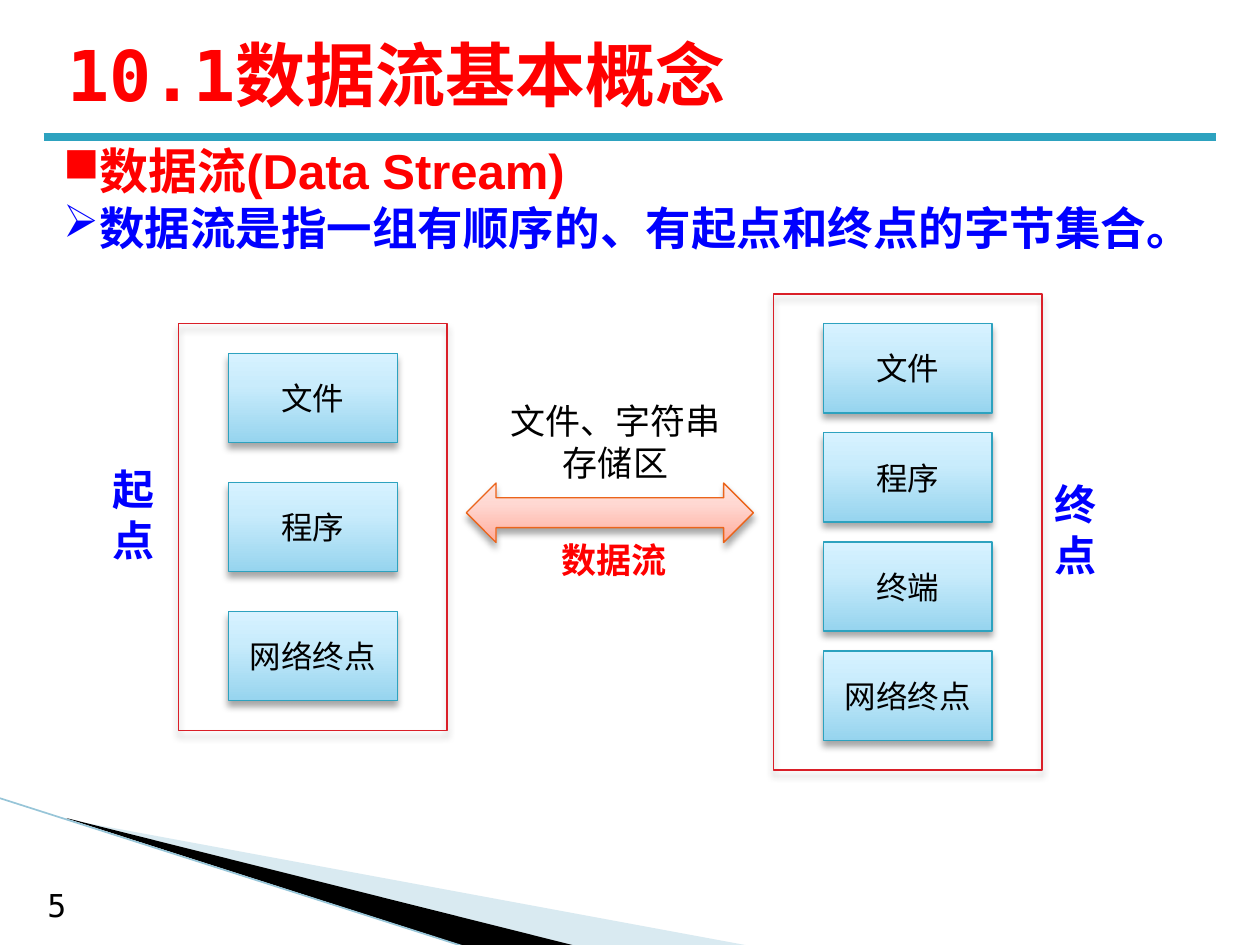
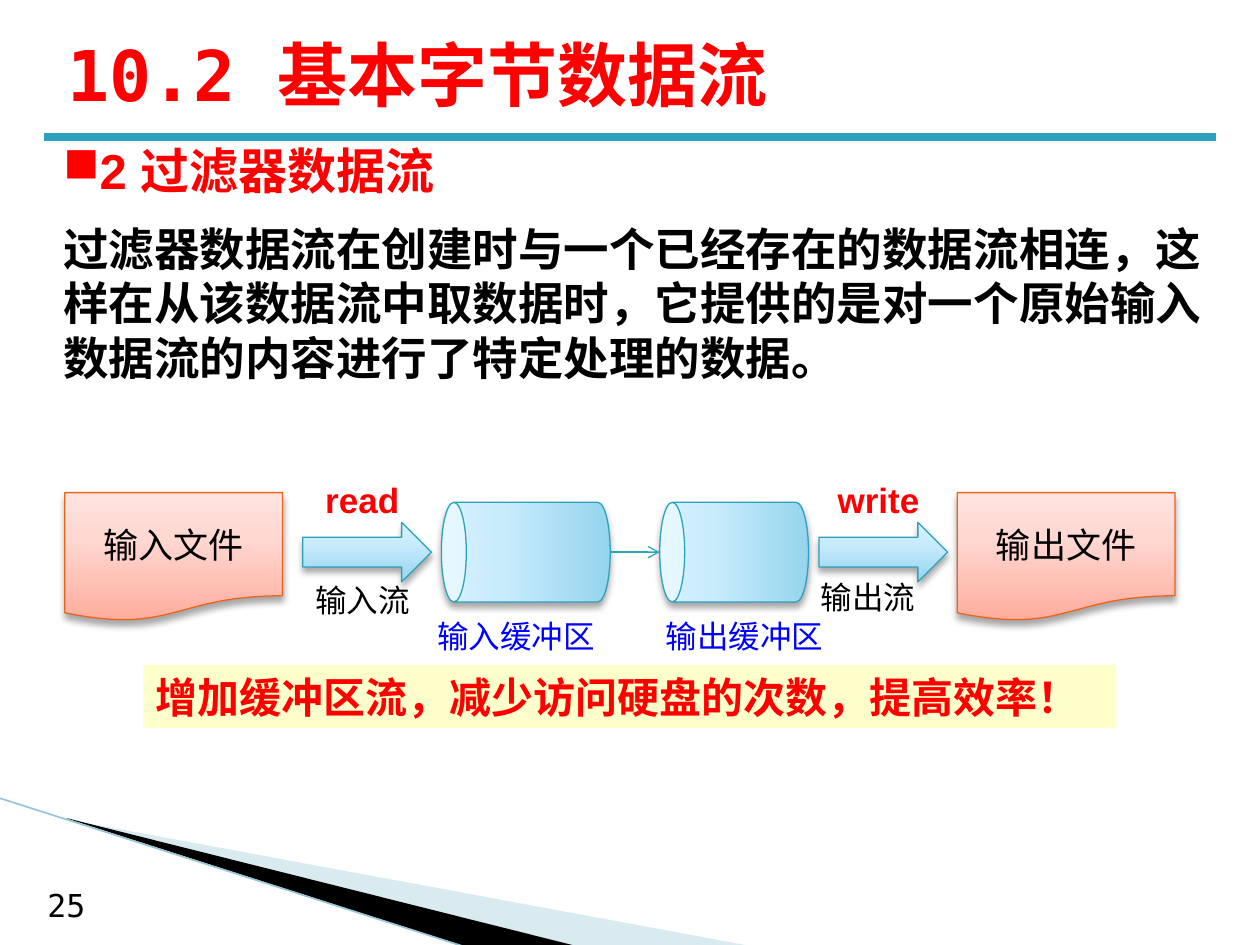
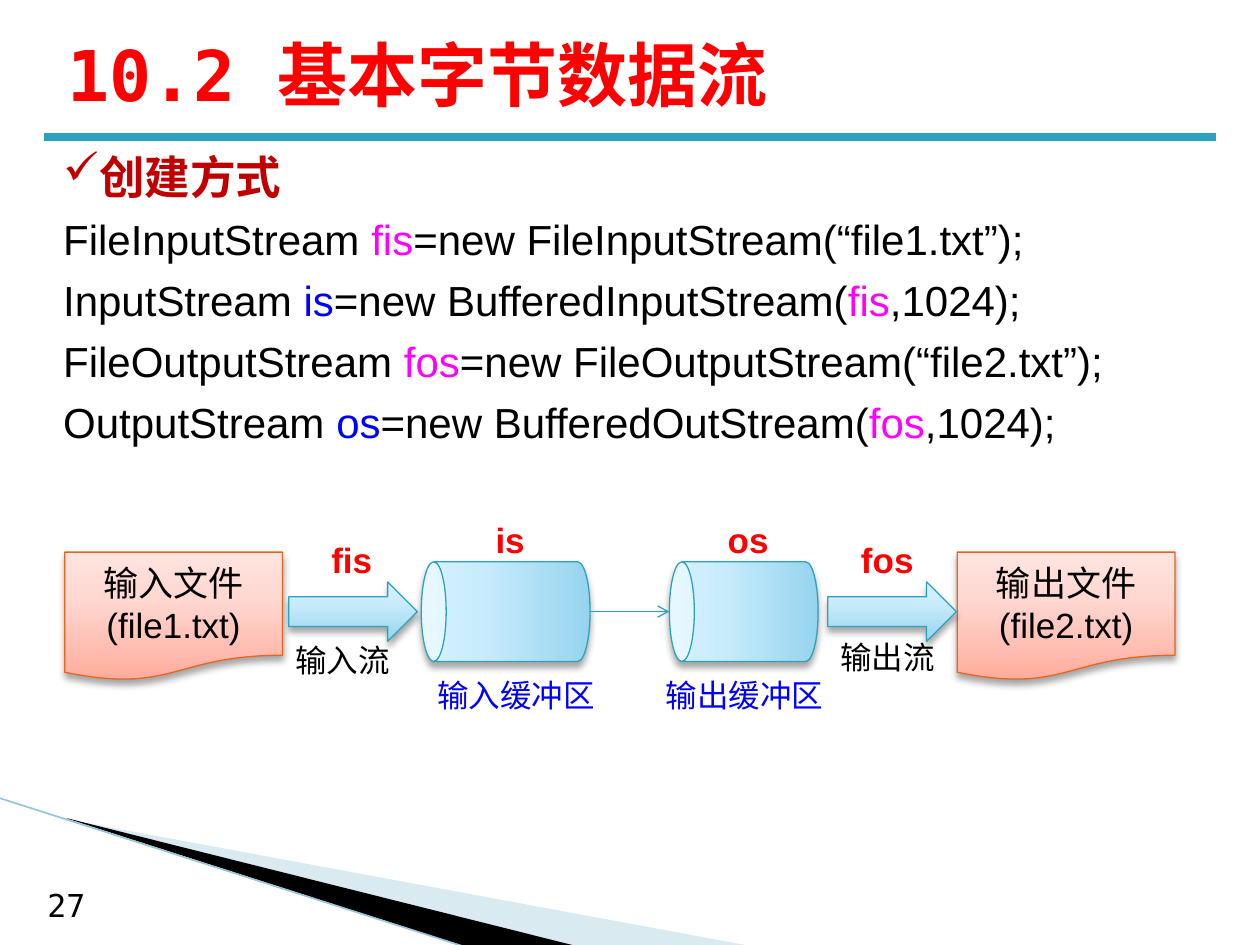
"""Build three slides about byte data streams."""
import copy
from dataclasses import dataclass
from typing import NamedTuple

import lxml.etree
import pptx
import pptx.dml.color
import pptx.enum.shapes
import pptx.enum.text
import pptx.oxml
import pptx.oxml.ns
import pptx.util

Pt = pptx.util.Pt
qn = pptx.oxml.ns.qn
SHAPES = pptx.enum.shapes.MSO_SHAPE
ANCHOR = pptx.enum.text.MSO_ANCHOR
CENTER = pptx.enum.text.PP_ALIGN.CENTER

MONO, SANS, CHINESE = "DejaVu Sans Mono", "Arial", "Noto Sans CJK SC"
BLACK, RED, BLUE, MAGENTA = "000000", "FF0000", "0000FF", "FF00FF"
DARK_RED, TEAL, CRIMSON = "C00000", "2DA2BF", "DA1F28"


class Box(NamedTuple):
    """A rectangle in points."""
    left: float
    top: float
    width: float
    height: float


class Span(NamedTuple):
    """A piece of text with its own colour."""
    text: str
    color: str = BLACK


@dataclass(frozen=True)
class Style:
    """The look of a paragraph."""
    size: float
    font: str = CHINESE
    color: str = BLACK
    bold: bool = False
    centered: bool = False
    before: float = 0
    after: float = 0
    bullet: str = ""


@dataclass(frozen=True)
class Para:
    """One paragraph of coloured spans or plain text."""
    content: str | tuple[Span, ...]
    style: Style


@dataclass(frozen=True)
class Look:
    """Gradient colours from top to bottom, and an outline."""
    stops: tuple[str, str, str] | None
    line: str


@dataclass(frozen=True)
class Endpoint:
    """The file, flow and buffer at one end of a pipeline."""
    file: tuple[str, ...]
    file_left: float
    arrow_left: float
    call: str
    call_left: float
    flow: str
    flow_left: float
    flow_drop: float
    buffer: str
    buffer_left: float
    buffer_center: float
    buffer_width: float
    variable: str = ""


SKY = Look(("D7F2FF", "C9ECFC", "96D4EE"), TEAL)
CORAL = Look(("FFE4DF", "FFD8D2", "FFAC9C"), "EB641B")
FRAME = Look(None, CRIMSON)

TITLE = Style(40, MONO, RED, True)
NUMBER = Style(18, MONO)
NODE = Style(18, centered=True)
SIDE = Style(24, color=BLUE, bold=True)
FILE = Style(20, SANS, centered=True)
CALL = Style(20, SANS, RED, True, True)
FLOW = Style(18, MONO)
BUFFER = Style(18, MONO, BLUE, centered=True)
CODE = Style(24, SANS, after=6)


def rgb(color: str) -> pptx.dml.color.RGBColor:
    """Turn a hex string into a colour."""
    return pptx.dml.color.RGBColor.from_string(color)


def child(parent, tag: str, **attributes: str):
    """Append a drawing element to a parent."""
    return lxml.etree.SubElement(parent, qn(tag), attributes)


def place(box: Box) -> list[int]:
    """Convert a box to lengths."""
    return [Pt(length) for length in box]


def write(frame, paras: list[Para]) -> None:
    """Fill a text frame with paragraphs."""
    frame.word_wrap = True
    for index, item in enumerate(paras):
        para = frame.add_paragraph() if index else frame.paragraphs[0]
        style = item.style
        properties = para._p.get_or_add_pPr()
        if style.bullet:
            properties.set("marL", "0")
            properties.set("indent", "0")
            child(properties, "a:buChar", char=style.bullet)
        if style.centered:
            para.alignment = CENTER
        para.space_before, para.space_after = Pt(style.before), Pt(style.after)
        para.font.size, para.font.bold = Pt(style.size), style.bold
        para.font.name = style.font
        para.font.color.rgb = rgb(style.color)
        child(properties.find(qn("a:defRPr")), "a:ea", typeface=CHINESE)
        if isinstance(item.content, str):
            para.add_run().text = item.content
            continue
        for piece in item.content:
            span = para.add_run()
            span.text = piece.text
            span.font.color.rgb = rgb(piece.color)


def add_text(page, box: Box, *paras: Para, fits: bool = True):
    """Add a text box."""
    label = page.shapes.add_textbox(*place(box))
    write(label.text_frame, list(paras))
    if fits:
        label.text_frame.auto_size = pptx.enum.text.MSO_AUTO_SIZE.SHAPE_TO_FIT_TEXT
    return label


def add_figure(page, kind, box: Box, look: Look, paras: list[Para] | None = None):
    """Add a preset shape with a gradient and a soft shadow."""
    figure = page.shapes.add_shape(kind, *place(box))
    if look.stops:
        figure.fill.gradient()
        figure.fill.gradient_angle = 90
        stop_list = figure._element.spPr.find(qn("a:gradFill")).find(qn("a:gsLst"))
        stop_list.insert(1, copy.deepcopy(stop_list[0]))
        stops = zip(figure.fill.gradient_stops, reversed(look.stops), (0, 0.65, 1))
        for stop, color, position in stops:
            stop.color.rgb = rgb(color)
            stop.position = position
    else:
        figure.fill.background()
    figure.line.color.rgb = rgb(look.line)
    figure.line.width = Pt(0.75)
    figure.shadow.inherit = False
    effects = figure._element.spPr.find(qn("a:effectLst"))
    shadow = child(effects, "a:outerShdw", blurRad=str(Pt(4)), dist=str(Pt(3)),
                   dir="5400000", rotWithShape="0")
    child(child(shadow, "a:srgbClr", val=BLACK), "a:alpha", val="35000")
    if paras:
        write(figure.text_frame, paras)
    return figure


def add_line(page, start: tuple[float, float], end: tuple[float, float],
             color: str, width: float, arrow: bool = False) -> None:
    """Add a straight line, with an arrowhead if asked."""
    line = page.shapes.add_connector(pptx.enum.shapes.MSO_CONNECTOR.STRAIGHT,
                                     *map(Pt, start + end))
    line.line.color.rgb = rgb(color)
    line.line.width = Pt(width)
    if arrow:
        child(line.line._get_or_add_ln(), "a:tailEnd", type="arrow")
    child(line._element.spPr, "a:effectLst")


def add_wedge(page, points: list[tuple[float, float]], color: str,
              opacity: int = 100) -> None:
    """Add a filled polygon without an outline."""
    corners = [(Pt(x), Pt(y)) for x, y in points]
    builder = page.shapes.build_freeform(*corners[0])
    builder.add_line_segments(corners[1:], close=True)
    wedge = builder.convert_to_shape()
    wedge.fill.solid()
    wedge.fill.fore_color.rgb = rgb(color)
    wedge.line.fill.background()
    wedge.shadow.inherit = False
    if opacity < 100:
        tint = wedge._element.spPr.find(qn("a:solidFill"))[0]
        child(tint, "a:alpha", val=str(opacity * 1000))


def add_page(deck, title: str, number: int):
    """Add a slide with the shared wedges, rule, number and title."""
    page = deck.slides.add_slide(deck.slide_layouts[6])
    add_wedge(page, [(39.5, 468.5), (428.5, 540.5), (328.5, 540.5), (39.5, 468)],
              "A0CBDC", 40)
    add_wedge(page, [(38, 467.5), (329, 540.5), (268, 541.5), (39, 468)], BLACK)
    add_line(page, (-0.5, 456), (267, 541.5), "97C5D8", 0.95)
    add_line(page, (25, 78.5), (695, 78.5), TEAL, 4.5)
    add_text(page, Box(20, 502.5, 39.5, 29), Para(str(number), NUMBER))
    heading = add_text(page, Box(31.5, 11.5, 648, 61), Para(title, TITLE), fits=False)
    heading.text_frame.vertical_anchor = ANCHOR.MIDDLE
    return page


def add_rack(page, frame: Box, names: list[str]) -> None:
    """Add a frame with evenly spread nodes."""
    add_figure(page, SHAPES.RECTANGLE, frame, FRAME)
    width, height, margin = 96.5, 51, 17
    step = (frame.height - 2 * margin - height) / (len(names) - 1)
    left = frame.left + (frame.width - width) / 2
    for index, name in enumerate(names):
        box = Box(left, frame.top + margin + index * step, width, height)
        add_figure(page, SHAPES.RECTANGLE, box, SKY, [Para(name, NODE)])


def add_pipeline(page, top: float, ends: list[Endpoint]) -> None:
    """Add files, flows and buffers along one axis."""
    axis, can_height = top + 34, 57
    for end in ends:
        add_figure(page, SHAPES.FLOWCHART_DOCUMENT, Box(end.file_left, top, 124.5, 73.5),
                   CORAL, [Para(line, FILE) for line in end.file])
        add_figure(page, SHAPES.RIGHT_ARROW, Box(end.arrow_left, axis - 17, 73.5, 34), SKY)
        add_text(page, Box(end.call_left, top - 11.5, 68, 31.5), Para(end.call, CALL))
        add_text(page, Box(end.flow_left, top + end.flow_drop, 79, 29),
                 Para(end.flow, FLOW))
        can = add_figure(page, SHAPES.CAN, Box(
            end.buffer_center - can_height / 2, axis - end.buffer_width / 2,
            can_height, end.buffer_width), SKY)
        can.rotation = 270
        add_text(page, Box(end.buffer_left, top + 67.5, 108, 29),
                 Para(end.buffer, BUFFER))
        if end.variable:
            add_text(page, Box(end.buffer_center - 31.5, top - 23, 68, 31.5),
                     Para(end.variable, CALL))
    source, target = ends
    add_line(page, (source.buffer_center + source.buffer_width / 2, axis),
             (target.buffer_center - target.buffer_width / 2, axis), TEAL, 0.75, True)


def build_concept(deck) -> None:
    """Build the slide on what a data stream is."""
    page = add_page(deck, "10.1数据流基本概念", 5)
    add_text(page, Box(29, 77, 669, 73),
             Para("数据流(Data Stream)", Style(28, SANS, RED, True, bullet="■")),
             Para("数据流是指一组有顺序的、有起点和终点的字节集合。",
                  Style(26, SANS, BLUE, True, bullet="➢")))
    add_rack(page, Box(102, 185, 153.5, 232.5), ["文件", "程序", "网络终点"])
    add_rack(page, Box(442, 168, 153.5, 272), ["文件", "程序", "终端", "网络终点"])
    add_text(page, Box(57, 261.5, 42.5, 65.5), Para("起点", SIDE))
    add_text(page, Box(595.5, 270, 42.5, 65.5), Para("终点", SIDE))
    add_figure(page, SHAPES.LEFT_RIGHT_ARROW, Box(266.5, 276, 164, 34), CORAL)
    add_text(page, Box(294.5, 304, 113, 31.5),
             Para("数据流", Style(20, color=RED, bold=True, centered=True)))
    add_text(page, Box(278, 224.5, 147.5, 55.5),
             Para("文件、字符串存储区", Style(20, centered=True)))


def build_filter(deck) -> None:
    """Build the slide on filter streams."""
    page = add_page(deck, "10.2 基本字节数据流", 25)
    add_text(page, Box(29, 77, 669, 147.5),
             Para("2 过滤器数据流",
                  Style(28, SANS, RED, True, before=6, after=6, bullet="■")),
             Para("过滤器数据流在创建时与一个已经存在的数据流相连，这样在从该数据流中取"
                  "数据时，它提供的是对一个原始输入数据流的内容进行了特定处理的数据。",
                  Style(26, SANS, bold=True, before=6, after=6)))
    add_pipeline(page, 281.5, [
        Endpoint(("输入文件",), 37, 173, "read", 173, "输入流", 173, 47,
                 "输入缓冲区", 241, 300.5, 96.5),
        Endpoint(("输出文件",), 547, 468, "write", 468, "输出流", 462, 45.5,
                 "输出缓冲区", 371.5, 419.5, 85)])
    banner = add_text(page, Box(82, 380, 556, 36),
                      Para("增加缓冲区流，减少访问硬盘的次数，提高效率！",
                           Style(24, SANS, RED, True)))
    banner.fill.solid()
    banner.fill.fore_color.rgb = rgb("FFFFCC")


def build_creation(deck) -> None:
    """Build the slide on creating buffered streams."""
    page = add_page(deck, "10.2 基本字节数据流", 27)
    statements = [
        ("FileInputStream ", Span("fis", MAGENTA), "FileInputStream(", Span("“file1.txt”"), ");"),
        ("InputStream ", Span("is", BLUE), "BufferedInputStream(", Span("fis", MAGENTA), ",1024);"),
        ("FileOutputStream ", Span("fos", MAGENTA), "FileOutputStream(", Span("“file2.txt”"), ");"),
        ("OutputStream ", Span("os", BLUE), "BufferedOutStream(", Span("fos", MAGENTA), ",1024);")]
    code = [Para((Span(kind), name, Span("=new " + maker), argument, Span(rest)), CODE)
            for kind, name, maker, argument, rest in statements]
    add_text(page, Box(29, 81.5, 669, 179.5),
             Para("创建方式", Style(26, SANS, DARK_RED, True, after=6, bullet="✓")), *code)
    add_pipeline(page, 315.5, [
        Endpoint(("输入文件", "(file1.txt)"), 37, 165, "fis", 167, "输入流", 161.5, 47,
                 "输入缓冲区", 241, 289, 96.5, "is"),
        Endpoint(("输出文件", "(file2.txt)"), 547, 473, "fos", 473, "输出流", 473, 45.5,
                 "输出缓冲区", 371.5, 425, 85, "os")])


def main() -> None:
    """Build and save the deck."""
    deck = pptx.Presentation()
    deck.slide_width, deck.slide_height = Pt(720), Pt(540)
    build_concept(deck)
    build_filter(deck)
    build_creation(deck)
    deck.save("out.pptx")


if __name__ == "__main__":
    main()
